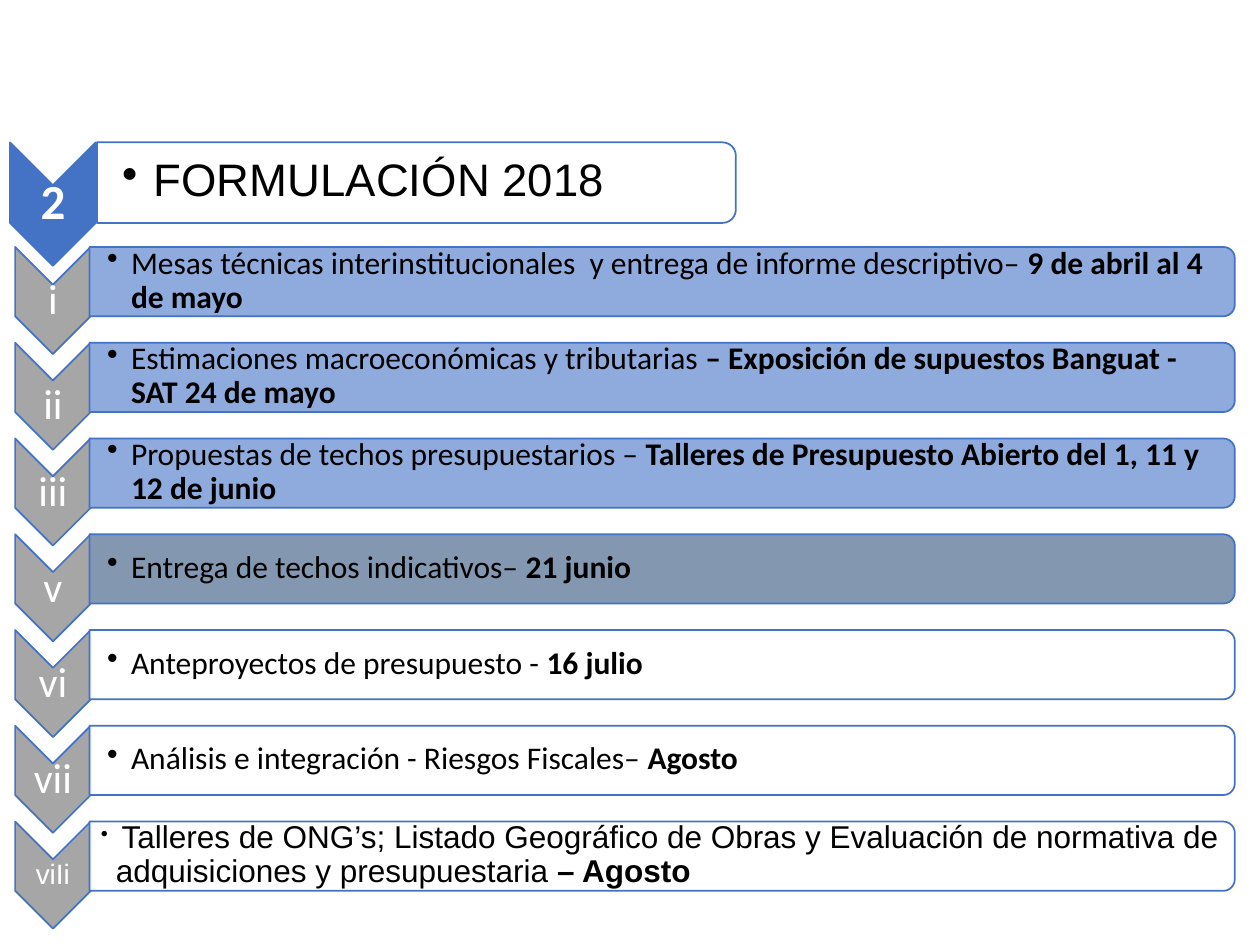
from pptx import Presentation
from pptx.dml.color import RGBColor
from pptx.enum.shapes import MSO_SHAPE
from pptx.enum.text import MSO_ANCHOR, MSO_AUTO_SIZE, PP_ALIGN
from pptx.oxml.ns import qn
from pptx.util import Inches, Pt
from lxml.etree import SubElement

BLUE = RGBColor(0x44, 0x72, 0xC4)
LIGHT_BLUE = RGBColor(0x8F, 0xAA, 0xDC)
SLATE = RGBColor(0x84, 0x97, 0xB0)
GRAY = RGBColor(0xA6, 0xA6, 0xA6)
WHITE = RGBColor(0xFF, 0xFF, 0xFF)
BLACK = RGBColor(0, 0, 0)

FIRST_TOP = 1.96
ROW_PITCH = 0.76

STEPS = [
    ("i", LIGHT_BLUE, "Mesas técnicas interinstitucionales  y entrega de informe descriptivo– ",
     "9 de abril al 4 de mayo"),
    ("ii", LIGHT_BLUE, "Estimaciones macroeconómicas y tributarias ",
     "– Exposición de supuestos Banguat - SAT 24 de mayo"),
    ("iii", LIGHT_BLUE, "Propuestas de techos presupuestarios – ",
     "Talleres de Presupuesto Abierto del 1, 11 y 12 de junio"),
    ("v", SLATE, "Entrega de techos indicativos– ", "21 junio"),
    ("vi", WHITE, "Anteproyectos de presupuesto - ", "16 julio"),
    ("vii", WHITE, "Análisis e integración - Riesgos Fiscales– ", "Agosto"),
]
LAST_TEXT = ("Talleres de ONG’s; Listado Geográfico de Obras y Evaluación "
             "de normativa de adquisiciones y presupuestaria ")


class SlideBuilder:
    def __init__(self, slide):
        self.slide = slide
        self.shapes = slide.shapes

    def turned_shape(self, kind, left, top, width, height, color):
        shape = self.shapes.add_shape(
            kind, Inches(left + (width - height) / 2), Inches(top + (height - width) / 2),
            Inches(height), Inches(width))
        shape.rotation = 90
        shape.shadow.inherit = False
        shape.fill.solid()
        shape.fill.fore_color.rgb = color
        shape.line.color.rgb = BLUE
        shape.line.width = Pt(1)
        return shape

    def chevron(self, left, top, width, height, color):
        self.turned_shape(MSO_SHAPE.CHEVRON, left, top, width, height, color)

    def bar(self, left, top, width, height, color):
        shape = self.turned_shape(
            MSO_SHAPE.ROUND_2_SAME_RECTANGLE, left, top, width, height, color)
        if color == WHITE:
            fill_color = shape.element.spPr.find(qn("a:solidFill")).find(qn("a:srgbClr"))
            SubElement(fill_color, qn("a:alpha")).set("val", "90000")

    def text_box(self, left, top, width, height):
        return self.shapes.add_textbox(Inches(left), Inches(top), Inches(width), Inches(height))

    def format_text(self, box, spans, size, font, color, inset, margin=0.01):
        frame = box.text_frame
        frame.word_wrap = True
        frame.auto_size = MSO_AUTO_SIZE.NONE
        frame.vertical_anchor = MSO_ANCHOR.MIDDLE
        frame.margin_left = Inches(inset)
        frame.margin_top = frame.margin_right = frame.margin_bottom = Inches(margin)
        para = frame.paragraphs[0]
        para.line_spacing = 0.9
        para.font.name = font
        para.font.size = Pt(size)
        para.font.color.rgb = color
        for text, bold in spans:
            span = para.add_run()
            span.text = text
            if bold:
                span.font.bold = True
        return para

    def label(self, text, left, top, width, height, size, font="Calibri", bold=False):
        box = self.text_box(left, top, width, height)
        para = self.format_text(box, [(text, bold)], size, font, WHITE, 0.02, 0.02)
        para.alignment = PP_ALIGN.CENTER
        return box

    def bullet(self, box, spans, size, font, inset, indent):
        para = self.format_text(box, spans, size, font, BLACK, inset)
        para.alignment = PP_ALIGN.LEFT
        properties = para._p.get_or_add_pPr()
        properties.set("marL", str(Inches(indent)))
        properties.set("indent", str(-Inches(indent)))
        mark = SubElement(properties, qn("a:buChar"))
        mark.set("char", "•")
        properties.find(qn("a:defRPr")).addprevious(mark)
        return para

    def heading(self, number, text):
        self.chevron(0.08, 1.13, 0.68, 0.98, BLUE)
        self.label(number, 0.08, 1.47, 0.68, 0.29, 28, bold=True)
        self.bar(0.77, 1.13, 5.07, 0.64, WHITE)
        title = self.shapes.title
        title.left, title.top = Inches(0.77), Inches(1.16)
        title.width, title.height = Inches(5.04), Inches(0.57)
        self.bullet(title, [(text, False)], 26, "Arial", 0.2, 0.25)
        self.shapes.element.append(title.element)

    def step(self, row, number, color, spans, number_size=24, font="Calibri",
             inset=0.14, indent=0.19):
        top = FIRST_TOP + row * ROW_PITCH
        self.chevron(0.12, top, 0.6, 0.85, GRAY)
        number_box = self.label(number, 0.12, top + 0.3, 0.6, 0.26, number_size, font)
        self.bar(0.71, top, 9.09, 0.55, color)
        text = self.text_box(0.71, top + 0.02, 9.07, 0.5)
        return number_box, self.bullet(text, spans, 18, font, inset, indent)


def main():
    deck = Presentation()
    deck.slide_width, deck.slide_height = Inches(10), Inches(7.5)
    page = SlideBuilder(deck.slides.add_slide(deck.slide_layouts[5]))
    page.heading("2", "FORMULACIÓN 2018")
    for row, (number, color, activity, date) in enumerate(STEPS):
        number_box, _ = page.step(row, number, color, [(activity, False), (date, True)])
        if number == "ii":
            number_box.text_frame.vertical_anchor = MSO_ANCHOR.TOP
    _, para = page.step(
        len(STEPS), "viIi", WHITE, [(" ", False), (LAST_TEXT, False), ("– Agosto", True)],
        number_size=16, font="Arial", inset=0.09, indent=0.12)
    para.runs[0].font.size = Pt(12)
    deck.save("out.pptx")


if __name__ == "__main__":
    main()
